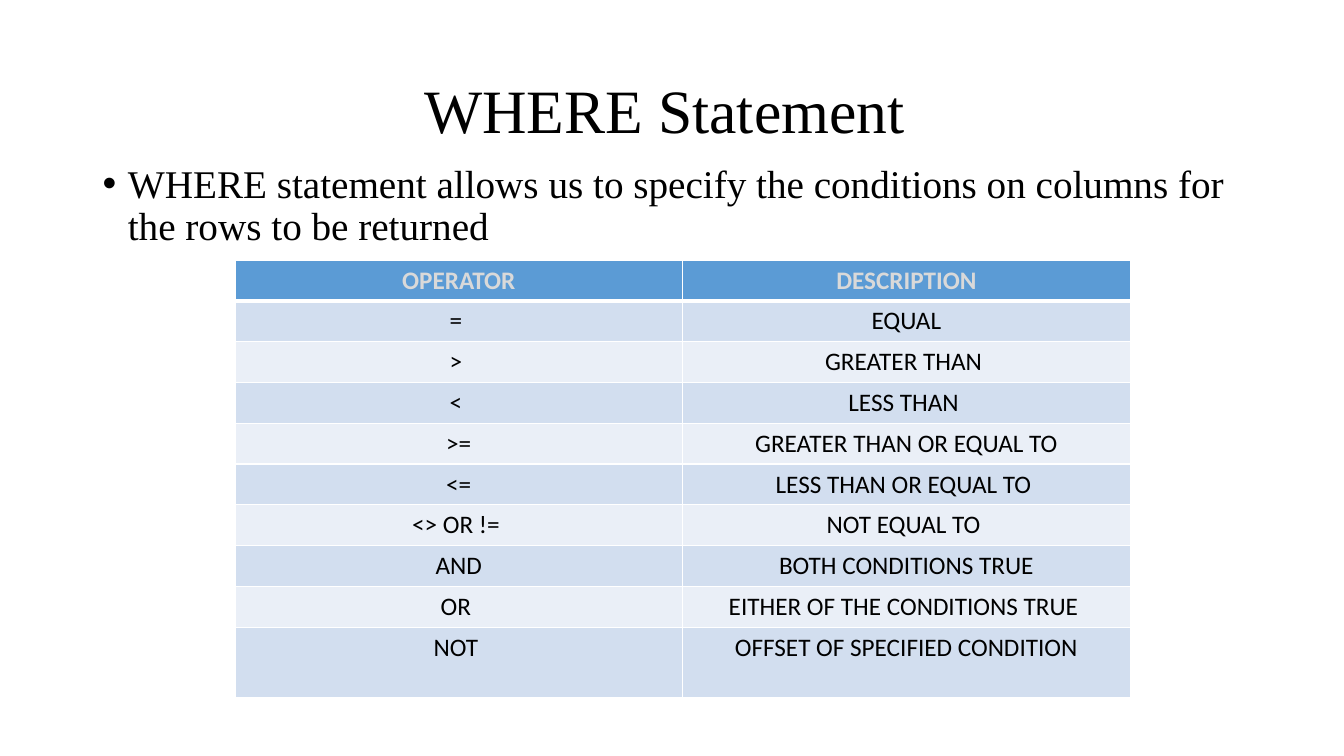
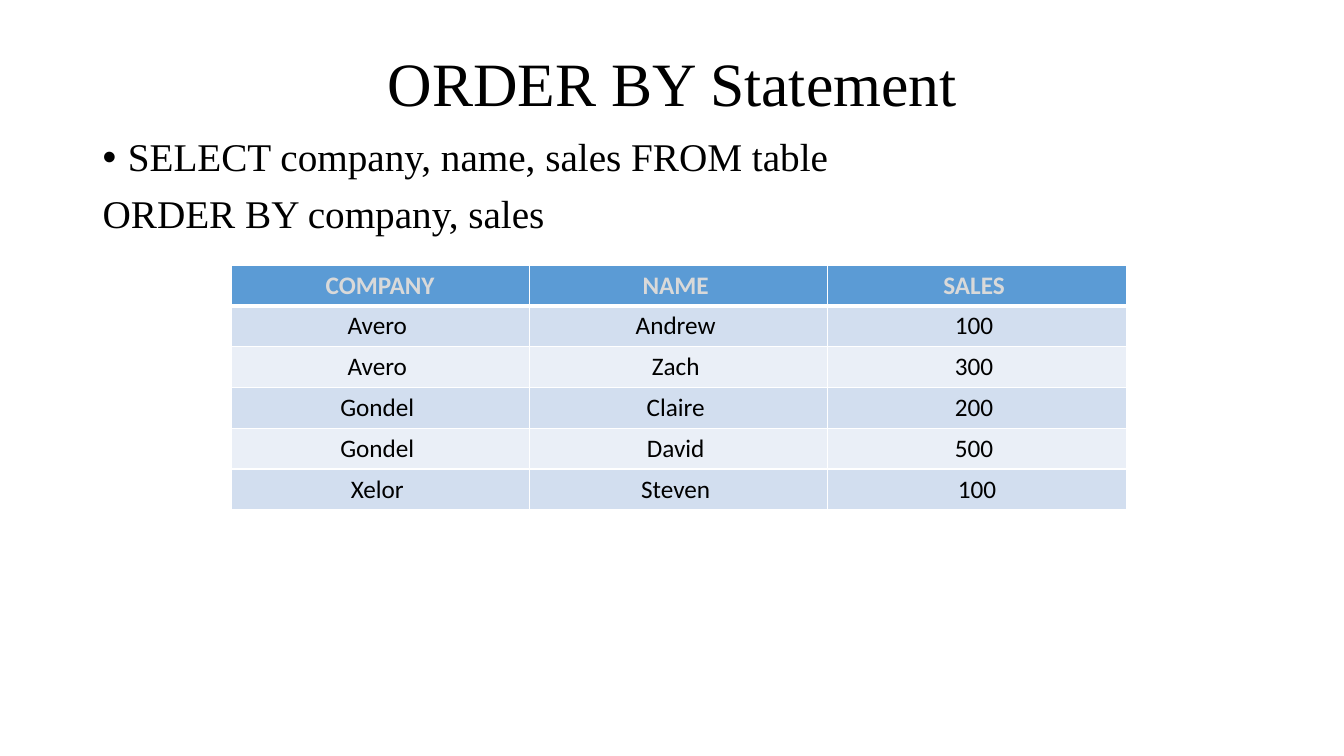
from lxml.etree import SubElement
from pptx import Presentation
from pptx.dml.color import RGBColor
from pptx.enum.text import MSO_ANCHOR, PP_ALIGN
from pptx.oxml.ns import qn
from pptx.util import Inches, Pt

COLORS = {
    "background": "FFFFFF",
    "text": "000000",
    "header": "5B9BD5",
    "header_text": "D9D9D9",
    "odd_row": "D2DEEF",
    "even_row": "EAEFF7",
    "border": "FFFFFF",
}
SERIF, SANS = "Times New Roman", "Calibri"
LEFT, WIDTH = 0.92, 11.5
TABLE_WIDTH, ROW_HEIGHT = 8.88, 0.405


def color(name):
    return RGBColor.from_string(COLORS[name])


def write(p, text, font=SERIF, size=28, fill="text", bold=False, align=PP_ALIGN.LEFT):
    p.alignment = align
    r = p.add_run()
    r.text = text
    r.font.name = font
    r.font.size = Pt(size)
    r.font.bold = bold
    r.font.color.rgb = color(fill)


def add_bullet(p):
    pPr = p._p.get_or_add_pPr()
    pPr.set("marL", str(Inches(0.25)))
    pPr.set("indent", str(-Inches(0.25)))
    SubElement(pPr, qn("a:buFont"), typeface="Arial")
    SubElement(pPr, qn("a:buChar"), char="•")


def set_borders(cell, top, bottom):
    tcPr = cell._tc.get_or_add_tcPr()
    for i, (side, width) in enumerate(zip("LRTB", (1, 1, top, bottom))):
        ln = SubElement(tcPr, qn(f"a:ln{side}"), w=str(Pt(width)))
        fill = SubElement(ln, qn("a:solidFill"))
        SubElement(fill, qn("a:srgbClr"), val=COLORS["border"])
        tcPr.insert(i, ln)


class Deck:
    """Hold the shared style and the slide being built."""

    def __init__(self):
        self.prs = Presentation()
        self.prs.slide_width = Inches(13.33)
        self.prs.slide_height = Inches(7.5)

    def add_slide(self):
        self.s = self.prs.slides.add_slide(self.prs.slide_layouts[6])
        self.s.background.fill.solid()
        self.s.background.fill.fore_color.rgb = color("background")

    def text_frame(self, top, height, anchor):
        sp = self.s.shapes.add_textbox(
            Inches(LEFT), Inches(top), Inches(WIDTH), Inches(height))
        tf = sp.text_frame
        tf.word_wrap = True
        tf.vertical_anchor = anchor
        return tf

    def title(self, text, height):
        p = self.text_frame(0.4, height, MSO_ANCHOR.MIDDLE).paragraphs[0]
        p.line_spacing = 0.9
        write(p, text, size=44, align=PP_ALIGN.CENTER)

    def body(self, lines, top, height):
        tf = self.text_frame(top, height, MSO_ANCHOR.TOP)
        for i, text in enumerate(lines):
            p = tf.add_paragraph() if i else tf.paragraphs[0]
            p.line_spacing = 0.9
            p.space_before = Pt(10)
            if i == 0:
                add_bullet(p)
            write(p, text)

    def table(self, rows, left, top, last_height=ROW_HEIGHT):
        n_cols = len(rows[0])
        height = ROW_HEIGHT * (len(rows) - 1) + last_height
        table = self.s.shapes.add_table(
            len(rows), n_cols, Inches(left), Inches(top),
            Inches(TABLE_WIDTH), Inches(height)).table
        for col in table.columns:
            col.width = Inches(TABLE_WIDTH / n_cols)
        for i, values in enumerate(rows):
            table.rows[i].height = Inches(ROW_HEIGHT)
            fill = "header" if i == 0 else "odd_row" if i % 2 else "even_row"
            for j, text in enumerate(values):
                cell = table.cell(i, j)
                cell.fill.solid()
                cell.fill.fore_color.rgb = color(fill)
                set_borders(cell, 3 if i == 1 else 1, 3 if i == 0 else 1)
                write(cell.text_frame.paragraphs[0], text, font=SANS, size=18,
                      fill="text" if i else "header_text", bold=i == 0,
                      align=PP_ALIGN.CENTER)
        table.rows[len(rows) - 1].height = Inches(last_height)


OPERATORS = [
    ("OPERATOR", "DESCRIPTION"),
    ("= ", "EQUAL"),
    ("> ", "GREATER THAN "),
    ("< ", "LESS THAN "),
    (">=", "GREATER THAN OR EQUAL TO"),
    ("<=", "LESS THAN OR EQUAL TO "),
    ("<> OR != ", "NOT EQUAL TO "),
    ("AND", "BOTH CONDITIONS TRUE"),
    ("OR ", "EITHER OF THE CONDITIONS TRUE "),
    ("NOT ", "OFFSET OF SPECIFIED CONDITION"),
]
SALES = [
    ("COMPANY", "NAME ", "SALES "),
    ("Avero ", "Andrew ", "100 "),
    ("Avero ", "Zach ", "300 "),
    ("Gondel ", "Claire ", "200 "),
    ("Gondel ", "David ", "500 "),
    ("Xelor ", "Steven ", "100"),
]


def main():
    deck = Deck()

    deck.add_slide()
    deck.title("WHERE Statement ", height=1.45)
    deck.body(["WHERE statement allows us to specify the conditions on columns "
               "for the rows to be returned"], top=1.58, height=5.18)
    deck.table(OPERATORS, left=2.33, top=2.58, last_height=0.7)

    deck.add_slide()
    deck.title("ORDER BY Statement", height=0.92)
    deck.body(["SELECT company, name, sales FROM table",
               "ORDER BY company, sales"], top=1.32, height=5.43)
    deck.table(SALES, left=2.29, top=2.63)

    deck.prs.save("out.pptx")


if __name__ == "__main__":
    main()
